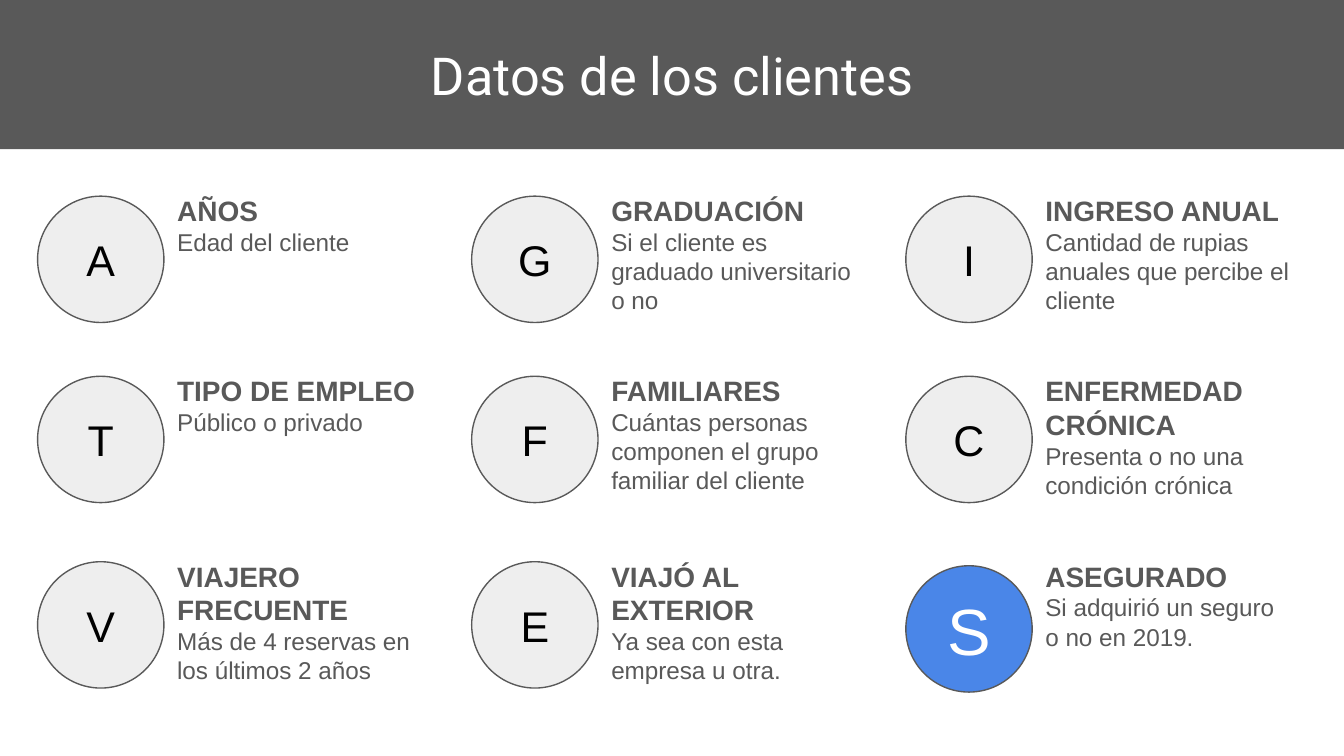
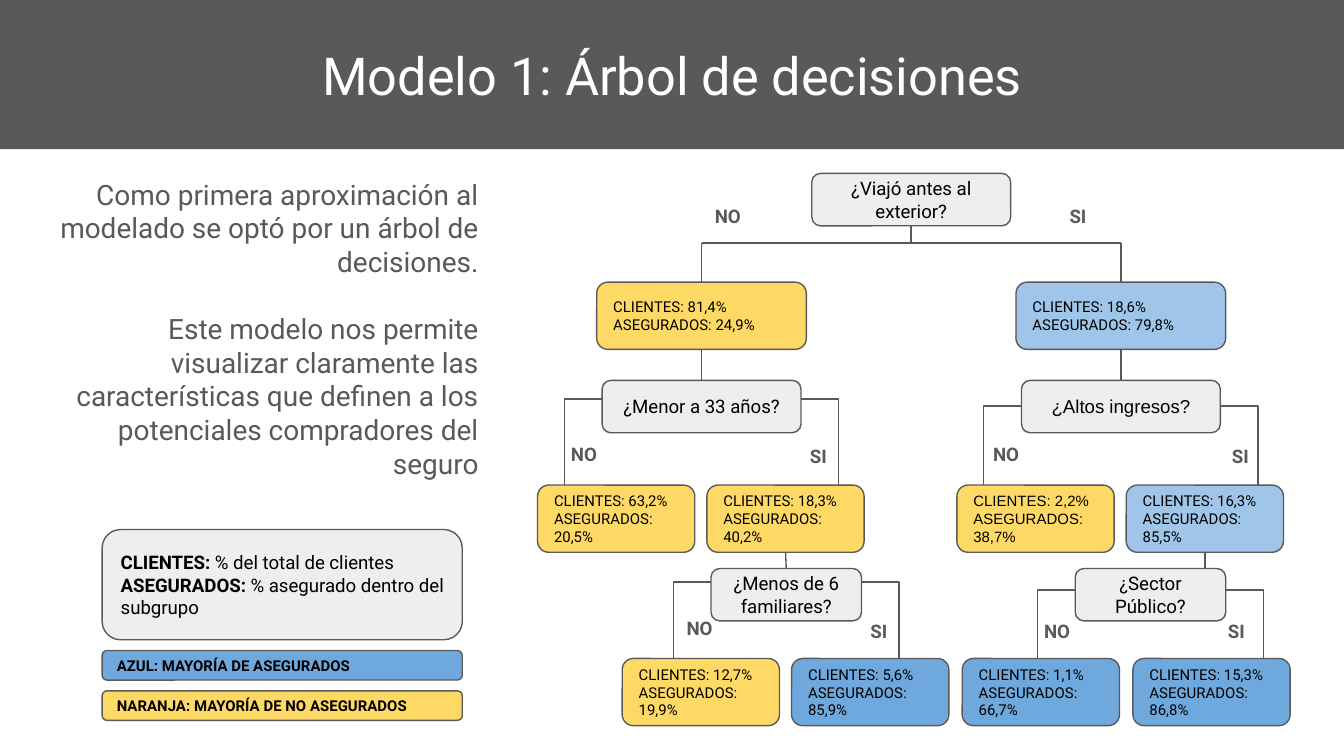
from dataclasses import dataclass
from itertools import product
from typing import NamedTuple

from lxml.etree import SubElement
from pptx import Presentation
from pptx.dml.color import RGBColor
from pptx.enum.shapes import MSO_CONNECTOR, MSO_SHAPE
from pptx.enum.text import MSO_ANCHOR, MSO_AUTO_SIZE, PP_ALIGN
from pptx.oxml.ns import qn
from pptx.shapes.autoshape import Shape
from pptx.shapes.connector import Connector
from pptx.slide import Slide
from pptx.util import Inches, Pt

COLORS = {
    "gray": "595959",
    "light": "EEEEEE",
    "white": "FFFFFF",
    "black": "000000",
    "accent": "4A86E8",
    "yellow": "FFD966",
    "pale_blue": "9FC5E8",
    "blue": "6FA8DC",
}
SLIDE_WIDTH = 10
SLIDE_HEIGHT = SLIDE_WIDTH * 9 / 16
LINE_WIDTH = Pt(0.75)
TOP, BOTTOM = 0, 2


class Style(NamedTuple):
    size: float
    color: str = "black"
    font: str = "Roboto"
    bold: bool = False


class Span(NamedTuple):
    text: str
    style: Style


class Box(NamedTuple):
    left: float
    top: float
    width: float
    height: float


@dataclass(frozen=True)
class Variable:
    letter: str
    heading: str
    detail: str


@dataclass(frozen=True)
class Question:
    text: str
    box: Box
    font: str = "Roboto"
    branch_y: float | None = None


@dataclass(frozen=True)
class Group:
    clients: str
    insured: str
    fill: str
    box: Box
    font: str = "Roboto"


class Answer(NamedTuple):
    text: str
    left: float
    top: float
    align: PP_ALIGN


TITLE = Style(28, "white")
LETTER = Style(23, font="Arial")
TARGET_LETTER = Style(35, "white", "Arial")
HEADING = Style(15, "gray", "Arial", True)
DETAIL = Style(13, "gray", "Arial")
INTRO = Style(15, "gray")
ANSWER = Style(10, "gray", bold=True)
LEGEND = Style(10)
LEGEND_BOLD = Style(10, bold=True)
KEY = Style(8, bold=True)

VARIABLES = [
    Variable("A", "AÑOS", "Edad del cliente"),
    Variable("G", "GRADUACIÓN", "Si el cliente es graduado universitario o no"),
    Variable("I", "INGRESO ANUAL", "Cantidad de rupias anuales que percibe el cliente"),
    Variable("T", "TIPO DE EMPLEO", "Público o privado"),
    Variable("F", "FAMILIARES", "Cuántas personas componen el grupo familiar del cliente"),
    Variable("C", "ENFERMEDAD CRÓNICA", "Presenta o no una condición crónica"),
    Variable("V", "VIAJERO FRECUENTE", "Más de 4 reservas en los últimos 2 años"),
    Variable("E", "VIAJÓ AL EXTERIOR", "Ya sea con esta empresa u otra."),
    Variable("S", "ASEGURADO", "Si adquirió un seguro o no en 2019."),
]

ROOT = Question("¿Viajó antes al exterior?", Box(6.04, 1.29, 1.48, 0.39))
AGE = Question("¿Menor a 33 años?", Box(4.48, 2.83, 1.48, 0.39), branch_y=2.97)
INCOME = Question("¿Altos ingresos?", Box(7.6, 2.83, 1.48, 0.39), "Arial", 3.02)
FAMILY = Question("¿Menos de 6 familiares?", Box(5.29, 4.23, 1.12, 0.39), branch_y=4.33)
SECTOR = Question("¿Sector Público?", Box(8, 4.23, 1.12, 0.39), branch_y=4.39)
QUESTIONS = [ROOT, AGE, INCOME, FAMILY, SECTOR]
BRANCH_REACH, BRANCH_DROP = 0.28, 0.64
ROOT_BRANCH_Y = 1.81


def leaf_box(left: float, top: float) -> Box:
    return Box(left, top, 1.17, 0.5)


STAYED = Group("81,4%", "24,9%", "yellow", Box(4.44, 2.1, 1.56, 0.5))
TRAVELLED = Group("18,6%", "79,8%", "pale_blue", Box(7.56, 2.1, 1.56, 0.5))
YOUNG = Group("18,3%", "40,2%", "yellow", leaf_box(5.26, 3.61))
HIGH_INCOME = Group("16,3%", "85,5%", "pale_blue", leaf_box(8.38, 3.61))
GROUPS = [
    STAYED,
    TRAVELLED,
    Group("63,2%", "20,5%", "yellow", leaf_box(4, 3.61)),
    YOUNG,
    Group("2,2%", "38,7%", "yellow", leaf_box(7.12, 3.61), "Arial"),
    HIGH_INCOME,
    Group("12,7%", "19,9%", "yellow", leaf_box(4.63, 4.9)),
    Group("5,6%", "85,9%", "blue", leaf_box(5.89, 4.9)),
    Group("1,1%", "66,7%", "blue", leaf_box(7.16, 4.9)),
    Group("15,3%", "86,8%", "blue", leaf_box(8.43, 4.9)),
]
ANSWERS = [
    Answer("NO", 5.22, 1.44, PP_ALIGN.LEFT),
    Answer("SI", 7.86, 1.44, PP_ALIGN.LEFT),
    Answer("NO", 4.15, 3.21, PP_ALIGN.LEFT),
    Answer("SI", 5.81, 3.23, PP_ALIGN.RIGHT),
    Answer("NO", 7.29, 3.21, PP_ALIGN.LEFT),
    Answer("SI", 8.95, 3.23, PP_ALIGN.RIGHT),
    Answer("NO", 5.01, 4.51, PP_ALIGN.LEFT),
    Answer("SI", 6.26, 4.53, PP_ALIGN.RIGHT),
    Answer("NO", 7.67, 4.53, PP_ALIGN.LEFT),
    Answer("SI", 8.92, 4.53, PP_ALIGN.RIGHT),
]
ANSWER_WIDTHS = {"NO": 0.59, "SI": 0.44}


def color(name: str) -> RGBColor:
    return RGBColor.from_string(COLORS[name])


def write(shape: Shape, paragraphs: list[list[Span]], align: PP_ALIGN,
          anchor: MSO_ANCHOR, gap: float = 0) -> None:
    """Fill the shape with paragraphs of spans, gap points apart."""
    frame = shape.text_frame
    margins = dict.fromkeys(
        ("margin_left", "margin_top", "margin_right", "margin_bottom"), Inches(0.1))
    for key, value in {"word_wrap": True, "vertical_anchor": anchor, **margins}.items():
        setattr(frame, key, value)
    for index, spans in enumerate(paragraphs):
        paragraph = frame.add_paragraph() if index else frame.paragraphs[0]
        paragraph.alignment = align
        paragraph.space_before = Pt(gap if index else 0)
        for text, style in spans:
            run = paragraph.add_run()
            run.text = text
            formats = {"size": Pt(style.size), "name": style.font, "bold": style.bold}
            for key, value in formats.items():
                setattr(run.font, key, value)
            run.font.color.rgb = color(style.color)


def add_figure(slide: Slide, kind: MSO_SHAPE, box: Box, fill: str,
               paragraphs: list[list[Span]], align: PP_ALIGN = PP_ALIGN.LEFT,
               outlined: bool = True) -> Shape:
    figure = slide.shapes.add_shape(kind, *map(Inches, box))
    figure.shadow.inherit = False
    figure.fill.solid()
    figure.fill.fore_color.rgb = color(fill)
    if outlined:
        figure.line.color.rgb = color("gray")
        figure.line.width = LINE_WIDTH
    else:
        figure.line.fill.background()
    write(figure, paragraphs, align, MSO_ANCHOR.MIDDLE)
    return figure


def add_text(slide: Slide, box: Box, paragraphs: list[list[Span]],
             align: PP_ALIGN = PP_ALIGN.LEFT, gap: float = 0) -> None:
    label = slide.shapes.add_textbox(*map(Inches, box))
    write(label, paragraphs, align, MSO_ANCHOR.TOP, gap)
    label.text_frame.auto_size = MSO_AUTO_SIZE.SHAPE_TO_FIT_TEXT


def add_line(slide: Slide, start: tuple[float, float], end: tuple[float, float],
             kind: MSO_CONNECTOR = MSO_CONNECTOR.STRAIGHT) -> Connector:
    line = slide.shapes.add_connector(kind, *map(Inches, (*start, *end)))
    line.line.color.rgb = color("gray")
    line.line.width = LINE_WIDTH
    SubElement(line._element.spPr, qn("a:effectLst"))
    return line


def add_elbow(slide: Slide, start: tuple[float, float], end: tuple[float, float]) -> None:
    """Draw a single-corner line that leaves its start horizontally."""
    elbow = add_line(slide, start, end, MSO_CONNECTOR.ELBOW)
    elbow._element.spPr.find(qn("a:prstGeom")).set("prst", "bentConnector2")


def center_x(box: Box) -> float:
    return box.left + box.width / 2


def add_titled_slide(deck: Presentation, title: str) -> Slide:
    slide = deck.slides.add_slide(deck.slide_layouts[6])
    add_figure(slide, MSO_SHAPE.RECTANGLE, Box(0, 0, SLIDE_WIDTH, 1.11), "gray",
               [[Span(title, TITLE)]], PP_ALIGN.CENTER, outlined=False)
    return slide


def build_variables(deck: Presentation) -> None:
    slide = add_titled_slide(deck, "Datos de los clientes")
    cells = product((1.34, 2.68, 4.06), (0.28, 3.51, 6.74))
    for (top, left), variable in zip(cells, VARIABLES):
        is_target = variable is VARIABLES[-1]
        circle_top = top + (0.15 if is_target else 0.12)
        add_figure(slide, MSO_SHAPE.OVAL, Box(left, circle_top, 0.94, 0.94),
                   "accent" if is_target else "light",
                   [[Span(variable.letter, TARGET_LETTER if is_target else LETTER)]],
                   PP_ALIGN.CENTER)
        add_text(slide, Box(left + 0.94, top, 2.04, 1.11),
                 [[Span(variable.heading, HEADING)], [Span(variable.detail, DETAIL)]])


def draw_branches(slide: Slide) -> None:
    for question in QUESTIONS:
        left, _, width, _ = question.box
        y = question.branch_y
        if y is None:
            continue
        for side, reach in ((left, -BRANCH_REACH), (left + width, BRANCH_REACH)):
            add_elbow(slide, (side, y), (side + reach, y + BRANCH_DROP))
    root_bottom = (center_x(ROOT.box), ROOT.box.top + ROOT.box.height)
    for group in (STAYED, TRAVELLED):
        add_elbow(slide, (center_x(group.box), ROOT_BRANCH_Y), root_bottom)


def draw_tree(slide: Slide) -> None:
    draw_branches(slide)
    group_shapes = {}
    for group in GROUPS:
        style = Style(8, font=group.font)
        group_shapes[group] = add_figure(
            slide, MSO_SHAPE.ROUNDED_RECTANGLE, group.box, group.fill,
            [[Span(f"CLIENTES: {group.clients}", style)],
             [Span(f"ASEGURADOS: {group.insured}", style)]])
    question_shapes = {
        question: add_figure(
            slide, MSO_SHAPE.ROUNDED_RECTANGLE, question.box, "light",
            [[Span(question.text, Style(10, font=question.font))]], PP_ALIGN.CENTER)
        for question in QUESTIONS
    }
    for group in (STAYED, TRAVELLED):
        x = center_x(group.box)
        drop = add_line(slide, (x, ROOT_BRANCH_Y), (x, group.box.top))
        drop.end_connect(group_shapes[group], TOP)
    stems = [(STAYED, AGE), (TRAVELLED, INCOME), (YOUNG, FAMILY), (HIGH_INCOME, SECTOR)]
    for group, question in stems:
        x = center_x(group.box)
        stem = add_line(slide, (x, group.box.top + group.box.height), (x, question.box.top))
        stem.begin_connect(group_shapes[group], BOTTOM)
        if abs(center_x(question.box) - x) < 0.02:
            stem.end_connect(question_shapes[question], TOP)
    for text, left, top, align in ANSWERS:
        add_text(slide, Box(left, top, ANSWER_WIDTHS[text], 0.37),
                 [[Span(text, ANSWER)]], align)


def build_decision_tree(deck: Presentation) -> None:
    slide = add_titled_slide(deck, "Modelo 1: Árbol de decisiones")
    add_text(slide, Box(0.33, 1.22, 3.33, 2.47), [
        [Span("Como primera aproximación al modelado se optó por un árbol de decisiones.", INTRO)],
        [Span("Este modelo nos permite visualizar claramente las características que "
              "definen a los potenciales compradores del seguro", INTRO)],
    ], PP_ALIGN.RIGHT, gap=18)
    draw_tree(slide)
    legend = [
        (3.94, 0.82, "light", [
            [Span("CLIENTES: ", LEGEND_BOLD), Span("% del total de clientes", LEGEND)],
            [Span("ASEGURADOS: ", LEGEND_BOLD),
             Span("% asegurado dentro del subgrupo", LEGEND)]]),
        (4.84, 0.22, "blue", [[Span("AZUL: MAYORÍA DE ASEGURADOS", KEY)]]),
        (5.14, 0.22, "yellow", [[Span("NARANJA: MAYORÍA DE NO ASEGURADOS", KEY)]]),
    ]
    for top, height, fill, paragraphs in legend:
        add_figure(slide, MSO_SHAPE.ROUNDED_RECTANGLE, Box(0.76, top, 2.68, height),
                   fill, paragraphs)


def main() -> None:
    deck = Presentation()
    deck.slide_width, deck.slide_height = Inches(SLIDE_WIDTH), Inches(SLIDE_HEIGHT)
    build_variables(deck)
    build_decision_tree(deck)
    deck.save("out.pptx")


if __name__ == "__main__":
    main()
